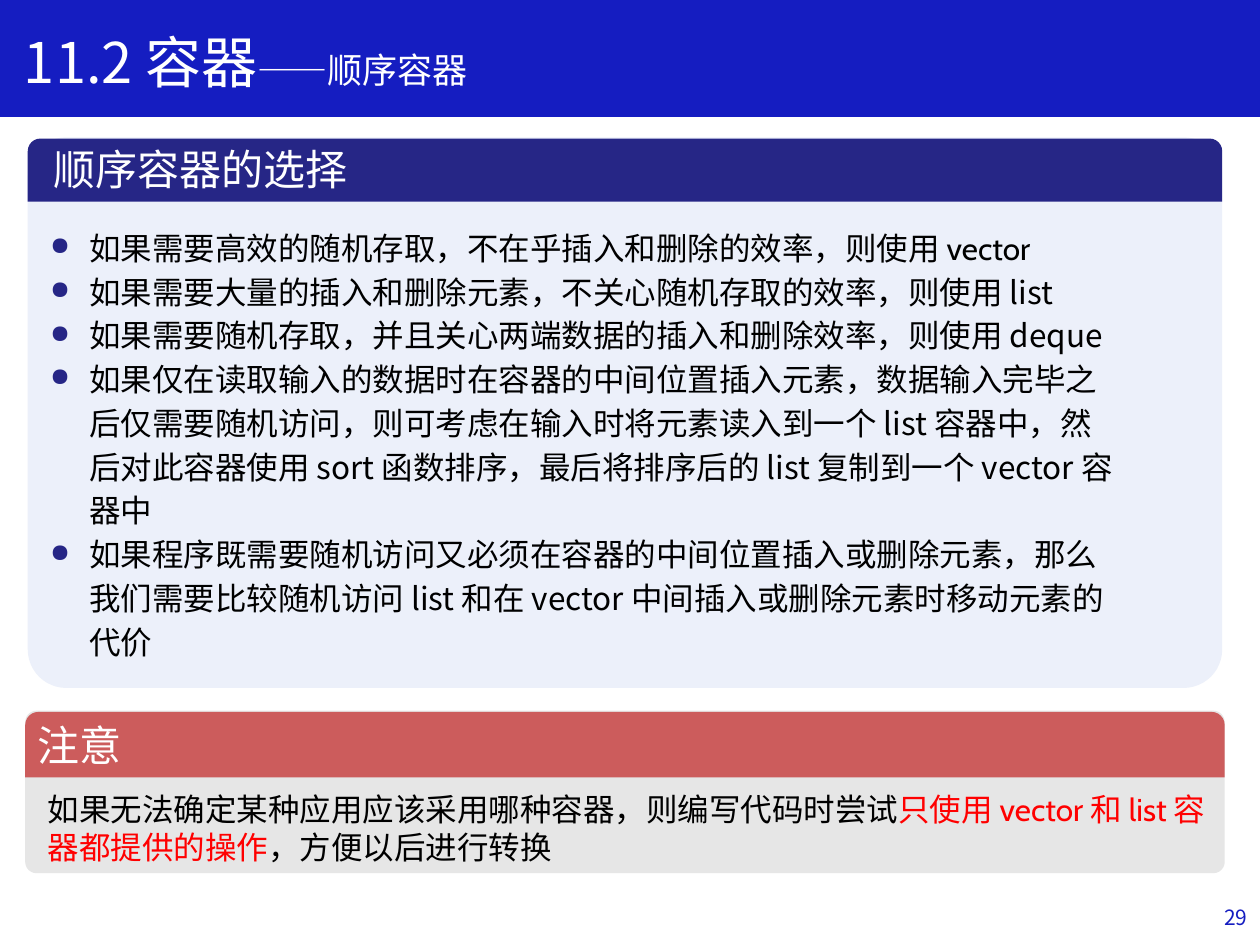
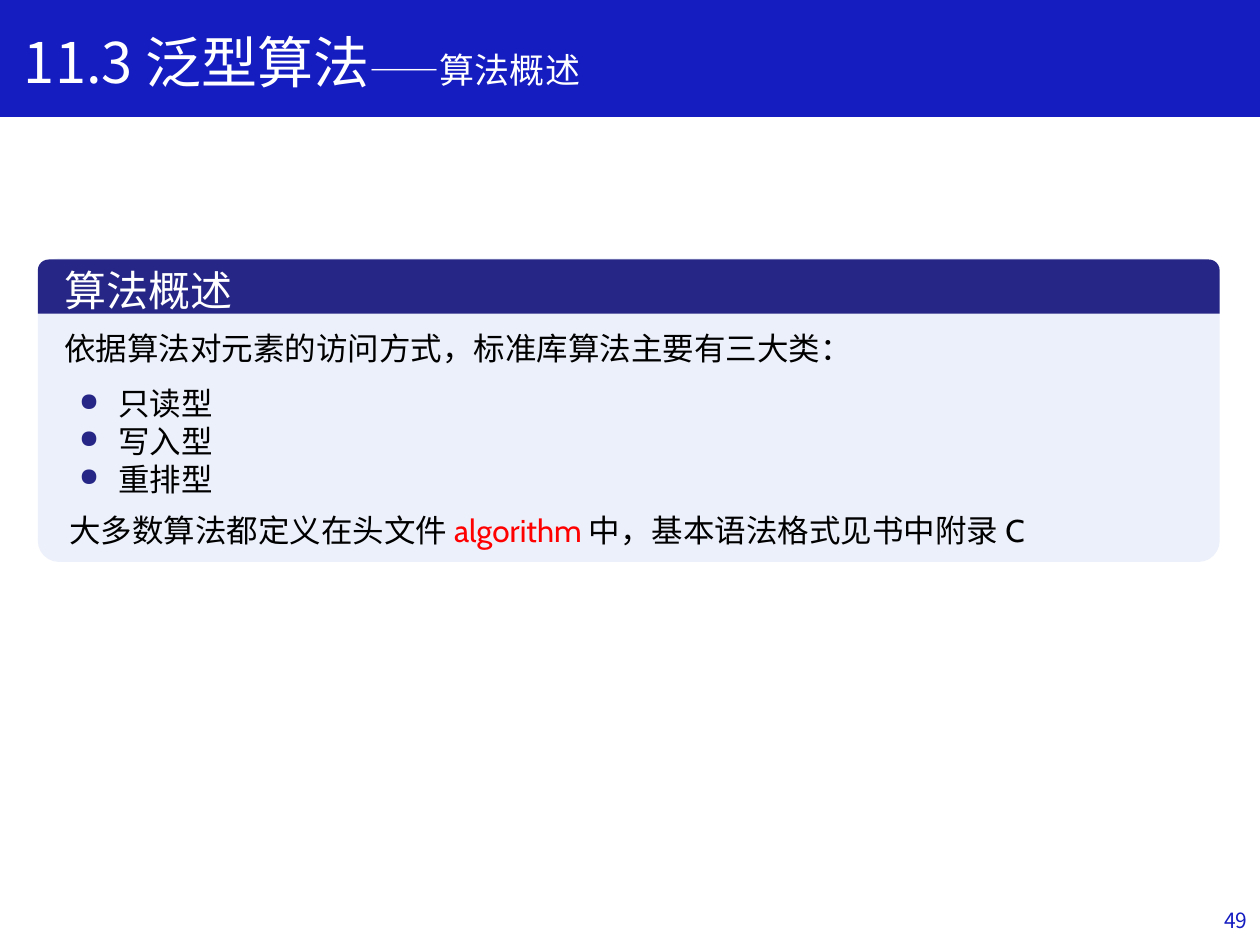
from dataclasses import dataclass
from typing import Any, NamedTuple

from lxml import etree
from pptx import Presentation
from pptx.dml.color import RGBColor
from pptx.enum.shapes import MSO_SHAPE
from pptx.enum.text import MSO_ANCHOR, MSO_AUTO_SIZE, PP_ALIGN
from pptx.oxml.ns import qn
from pptx.util import Emu, Pt

RECT, ROUND, TOP_ROUND = (MSO_SHAPE.RECTANGLE, MSO_SHAPE.ROUNDED_RECTANGLE,
                          MSO_SHAPE.ROUND_2_SAME_RECTANGLE)
TOP, MIDDLE = MSO_ANCHOR.TOP, MSO_ANCHOR.MIDDLE
LEFT, RIGHT = PP_ALIGN.LEFT, PP_ALIGN.RIGHT
GROW = MSO_AUTO_SIZE.SHAPE_TO_FIT_TEXT
PX = 9144  # 100 px to the inch


@dataclass(frozen=True)
class Theme:
    band: str = "151DC1"
    navy: str = "262686"
    pale: str = "ECF0FA"
    rose: str = "CC5C5C"
    gray: str = "E6E6E6"
    white: str = "FFFFFF"
    black: str = "000000"
    red: str = "FF0000"
    sans: str = "Noto Sans CJK SC"
    accent: str = "Cabin"
    title: int = 32
    sub: int = 20
    head: int = 24
    body: int = 18
    page: int = 12


T = Theme()


class Box(NamedTuple):
    x: int
    y: int
    w: int
    h: int

    def emu(self) -> list[Emu]:
        return [Emu(v * PX) for v in self]


class Run(NamedTuple):
    text: str
    color: str = T.black
    size: int = T.body
    face: str = T.sans


class Para(NamedTuple):
    runs: list[Run]
    bullet: bool = False
    lead: int = 0  # exact line pitch in points


class Panel(NamedTuple):
    body: Box
    head: Box
    label: Box
    text: str
    dark: str
    light: str


def apply(item: Any, look: dict[str, Any]) -> None:
    for name, value in look.items():
        setattr(item, name, value)


def rgb(code: str) -> RGBColor:
    return RGBColor.from_string(code)


# Text
def add_bullet(para: Any) -> None:
    props = para._p.get_or_add_pPr()
    indent = 31 * PX
    props.set("marL", str(indent))
    props.set("indent", str(-indent))
    tint = etree.SubElement(props, qn("a:buClr"))
    etree.SubElement(tint, qn("a:srgbClr"), val=T.navy)
    etree.SubElement(props, qn("a:buSzPct"), val="80000")
    etree.SubElement(props, qn("a:buChar"), char="●")


def add_run(para: Any, part: Run) -> None:
    for n, line in enumerate(part.text.split("\n")):
        if n:
            para.add_line_break()
        run = para.add_run()
        run.text = line
        apply(run.font, {"size": Pt(part.size), "name": part.face})
        run.font.color.rgb = rgb(part.color)
        latin = run._r.rPr.find(qn("a:latin"))
        east = etree.Element(qn("a:ea"), typeface=T.sans)
        latin.addnext(east)


def write(shape: Any, paras: list[Para], align: Any = LEFT,
          anchor: Any = TOP, fit: Any = GROW) -> None:
    frame = shape.text_frame
    apply(frame, {"word_wrap": True, "auto_size": fit,
                  "vertical_anchor": anchor})
    for n, item in enumerate(paras):
        para = frame.add_paragraph() if n else frame.paragraphs[0]
        if item.bullet:
            add_bullet(para)
        para.alignment = align
        if item.lead:
            para.line_spacing = Pt(item.lead)
        for part in item.runs:
            add_run(para, part)


def add_text(shapes: Any, box: Box, paras: list[Para], **look: Any) -> None:
    write(shapes.add_textbox(*box.emu()), paras, **look)


# Shapes
def add_block(shapes: Any, kind: Any, box: Box, color: str,
              bends: tuple[float, ...] = ()) -> Any:
    shape = shapes.add_shape(kind, *box.emu())
    shape.shadow.inherit = False
    shape.fill.solid()
    shape.fill.fore_color.rgb = rgb(color)
    shape.line.fill.background()
    for n, bend in enumerate(bends):
        shape.adjustments[n] = bend
    return shape


def add_panel(slide: Any, panel: Panel) -> None:
    shapes = slide.shapes.add_group_shape().shapes
    add_block(shapes, ROUND, panel.body, panel.light, (0.07,))
    add_block(shapes, TOP_ROUND, panel.head, panel.dark, (0.2, 0))
    add_text(shapes, panel.label, [Para([Run(panel.text, T.white, T.head)])])


# Shared page frame
def add_band(slide: Any) -> None:
    """Put the title band on the layout, behind its placeholders."""
    band = add_block(slide.shapes, RECT, Box(0, 0, 1000, 92), T.band)
    band.line.color.rgb = rgb(T.band)
    band.line.width = Pt(1)
    slide.slide_layout.shapes._spTree.insert(2, band._element)


def add_page(deck: Any, title: str, sub: str, page: str, foot: int) -> Any:
    slide = deck.slides.add_slide(deck.slide_layouts[5])
    head = slide.shapes.title
    names = ("left", "top", "width", "height")
    apply(head, dict(zip(names, Box(9, 17, 744, 64).emu())))
    write(head, [Para([Run(title, T.white, T.title),
                       Run("——" + sub, T.white, T.sub)])])
    add_text(slide.shapes, Box(775, foot, 225, 40),
             [Para([Run(page, T.band, T.page)])],
             align=RIGHT, anchor=MIDDLE, fit=MSO_AUTO_SIZE.NONE)
    return slide


# Slide: choosing a container
def add_choice(deck: Any) -> None:
    slide = add_page(deck, "11.2 容器", "顺序容器", "29", 708)
    add_band(slide)
    add_panel(slide, Panel(Box(22, 109, 948, 437), Box(22, 110, 948, 50),
                           Box(33, 109, 736, 50), "顺序容器的选择",
                           T.navy, T.pale))
    rules = [
        [Run("如果需要高效的随机存取，不在乎插入和删除的效率，则使用 "),
         Run("vector", face=T.accent)],
        [Run("如果需要大量的插入和删除元素，不关心随机存取的效率，则使用 list")],
        [Run("如果需要随机存取，并且关心两端数据的插入和删除效率，则使用 deque")],
        [Run("如果仅在读取输入的数据时在容器的中间位置插入元素，数据输入完毕之\n"
             "后仅需要随机访问，则可考虑在输入时将元素读入到一个 list 容器中，然\n"
             "后对此容器使用 sort 函数排序，最后将排序后的 list 复制到一个 vector 容\n"
             "器中")],
        [Run("如果程序既需要随机访问又必须在容器的中间位置插入或删除元素，那么\n"
             "我们需要比较随机访问 list 和在 vector 中间插入或删除元素时移动元素的\n"
             "代价")],
    ]
    add_text(slide.shapes, Box(30, 172, 920, 358),
             [Para(runs, True, 25) for runs in rules])

    add_panel(slide, Panel(Box(20, 564, 952, 129), Box(20, 565, 952, 52),
                           Box(20, 566, 650, 48), "注意", T.rose, T.gray))
    add_text(slide.shapes, Box(28, 622, 952, 71), [Para([
        Run("如果无法确定某种应用应该采用哪种容器，则编写代码时尝试"),
        Run("只使用 ", T.red), Run("vector ", T.red, face=T.accent),
        Run("和 ", T.red), Run("list ", T.red, face=T.accent),
        Run("容器都提供的操作", T.red), Run("，方便以后进行转换")])])


# Slide: kinds of algorithm
def add_kinds(deck: Any) -> None:
    slide = add_page(deck, "11.3 泛型算法", "算法概述", "49", 710)
    add_panel(slide, Panel(Box(30, 205, 938, 241), Box(30, 206, 938, 43),
                           Box(41, 205, 805, 50), "算法概述",
                           T.navy, T.pale))
    add_text(slide.shapes, Box(41, 256, 852, 40), [Para([
        Run("依据算法对元素的访问方式，标准库算法主要有三大类：")])])
    add_text(slide.shapes, Box(53, 300, 828, 101),
             [Para([Run(kind)], True) for kind in ("只读型", "写入型", "重排型")])
    add_text(slide.shapes, Box(45, 401, 801, 40), [Para([
        Run("大多数算法都定义在头文件 "),
        Run("algorithm ", T.red, face=T.accent),
        Run("中，基本语法格式见书中附录 "), Run("C", face=T.accent)])])


def main() -> None:
    deck = Presentation()
    apply(deck, {"slide_width": Emu(1000 * PX), "slide_height": Emu(750 * PX)})
    add_choice(deck)
    add_kinds(deck)
    deck.save("out.pptx")


if __name__ == "__main__":
    main()
